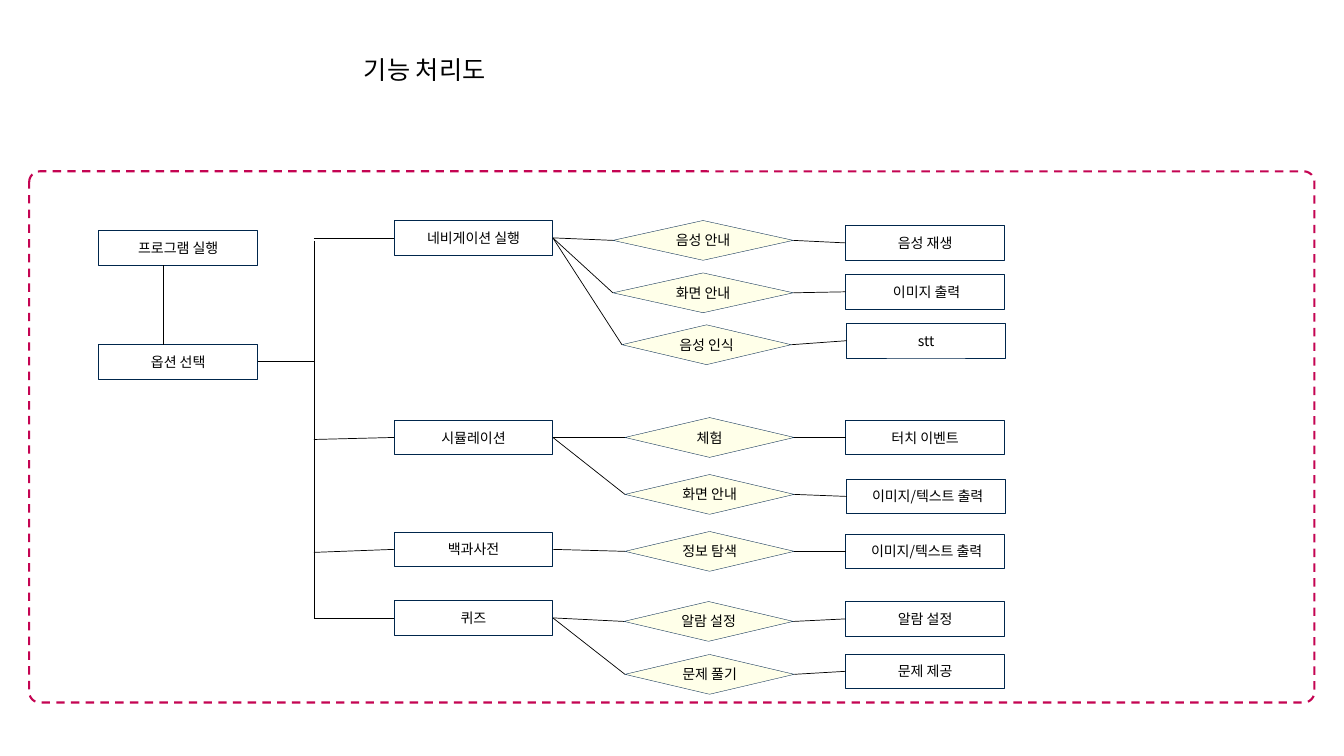
import lxml.etree
import pptx
import pptx.dml.color
import pptx.enum.dml
import pptx.enum.shapes
import pptx.enum.text
import pptx.oxml.ns
import pptx.util

NAVY = pptx.dml.color.RGBColor(0x00, 0x26, 0x4C)
CRIMSON = pptx.dml.color.RGBColor(0xC4, 0x04, 0x52)
CREAM = pptx.dml.color.RGBColor(0xFF, 0xFF, 0xE9)
BLACK = pptx.dml.color.RGBColor(0x00, 0x00, 0x00)
FONT = "Noto Sans CJK KR"
SHAPES = pptx.enum.shapes.MSO_SHAPE
ALIGN = pptx.enum.text.PP_ALIGN
LEFT_SITE, RIGHT_SITE = 1, 3

COLUMNS, ROWS = 133.33, 75
BOX_WIDTH, BOX_HEIGHT = 15.75, 3.45
DECISION_HEIGHT = 3.95
START_LEFT, BRANCH_LEFT = 9.8, 39.1
TRUNK, TRUNK_TOP, TRUNK_BOTTOM = 31.15, 23.9, 61.3
START_LINK = 16.2

BRANCHES = [
    ("네비게이션 실행", 23.6, 23.6, [
        ("음성 안내", 60.8, 17.9, 23.85, "음성 재생", 83.9, 24.1),
        ("화면 안내", 60.8, 17.9, 29.05, " 이미지 출력", 83.9, 28.95),
        ("음성 인식", 61.7, 16.8, 34.2, "stt", 84, 33.8),
    ]),
    ("시뮬레이션", 43.4, 43.6, [
        ("체험", 62, 16.8, 43.4, "터치 이벤트", 83.9, 43.4),
        ("화면 안내", 62, 16.8, 49.05, " 이미지/텍스트 출력", 84, 49.25),
    ]),
    ("백과사전", 54.5, 54.8, [
        ("정보 탐색", 62, 16.8, 54.7, " 이미지/텍스트 출력", 83.9, 54.7),
    ]),
    ("퀴즈", 61.3, 61.3, [
        ("알람 설정", 61.9, 16.8, 61.65, "알람 설정", 83.9, 61.4),
        ("문제 풀기", 62, 16.8, 66.9, "문제 제공", 83.9, 66.6),
    ]),
]


def write_text(frame, text, *, size=10, align=ALIGN.CENTER, color=BLACK, inset=0.04):
    frame.word_wrap = True
    frame.auto_size = pptx.enum.text.MSO_AUTO_SIZE.NONE
    frame.vertical_anchor = pptx.enum.text.MSO_ANCHOR.MIDDLE
    frame.margin_left = frame.margin_right = pptx.util.Inches(inset)
    frame.margin_top = frame.margin_bottom = pptx.util.Inches(0.04)
    paragraph = frame.paragraphs[0]
    paragraph.alignment = align
    run = paragraph.add_run()
    run.text = text
    run.font.size = pptx.util.Pt(size)
    run.font.name = FONT
    run.font.color.rgb = color
    east_asian = lxml.etree.SubElement(run.font._element, pptx.oxml.ns.qn("a:ea"))
    east_asian.set("typeface", FONT)


class FlowSlide:
    def __init__(self, deck):
        self.slide = deck.slides.add_slide(deck.slide_layouts[5])
        self.column = deck.slide_width / COLUMNS
        self.row = deck.slide_height / ROWS

    def x(self, columns):
        return round(columns * self.column)

    def y(self, rows):
        return round(rows * self.row)

    def title(self, text, left, top, width, height):
        heading = self.slide.shapes.title
        heading.left, heading.top = self.x(left), self.y(top)
        heading.width, heading.height = self.x(width), self.y(height)
        write_text(heading.text_frame, text, size=18, align=ALIGN.LEFT, inset=0.1)

    def outline(self, kind, left, top, width, height, color, weight):
        shape = self.slide.shapes.add_shape(
            kind, self.x(left), self.y(top), self.x(width), self.y(height))
        shape.shadow.inherit = False
        shape.fill.background()
        shape.line.color.rgb = color
        shape.line.width = pptx.util.Pt(weight)
        return shape

    def frame(self, left, top, width, height):
        border = self.outline(
            SHAPES.ROUNDED_RECTANGLE, left, top, width, height, CRIMSON, 1.5)
        border.adjustments[0] = 0.02
        border.line.dash_style = pptx.enum.dml.MSO_LINE.DASH

    def box(self, text, left, middle):
        step = self.outline(SHAPES.RECTANGLE, left, middle - BOX_HEIGHT / 2,
                            BOX_WIDTH, BOX_HEIGHT, NAVY, 0.5)
        write_text(step.text_frame, text)
        return step

    def decision(self, text, left, width, middle):
        choice = self.outline(SHAPES.FLOWCHART_DECISION, left, middle - DECISION_HEIGHT / 2,
                              width, DECISION_HEIGHT, NAVY, 0.25)
        choice.fill.solid()
        choice.fill.fore_color.rgb = CREAM
        write_text(choice.text_frame, text)
        return choice

    def line(self, left, top, right, bottom):
        link = self.slide.shapes.add_connector(
            pptx.enum.shapes.MSO_CONNECTOR.STRAIGHT,
            self.x(left), self.y(top), self.x(right), self.y(bottom))
        link.line.color.rgb = BLACK
        link.line.width = pptx.util.Pt(0.5)
        lxml.etree.SubElement(link._element.spPr, pptx.oxml.ns.qn("a:effectLst"))
        return link

    def join(self, source, target):
        link = self.line(0, 0, 1, 1)
        link.begin_connect(source, RIGHT_SITE)
        link.end_connect(target, LEFT_SITE)


def main():
    deck = pptx.Presentation()
    deck.slide_width = pptx.util.Inches(13.33)
    deck.slide_height = pptx.util.Inches(7.5)
    flow = FlowSlide(deck)

    flow.title("기능 처리도", 35.1, 4.9, 62.9, 4)
    flow.frame(2.9, 17, 127.5, 52.7)
    flow.box("프로그램 실행", START_LEFT, 24.6)
    options = flow.box("옵션 선택", START_LEFT, 35.9)
    flow.line(START_LINK, 26.3, START_LINK, 34.2)
    flow.line(TRUNK, TRUNK_TOP, TRUNK, TRUNK_BOTTOM)
    flow.line(START_LEFT + BOX_WIDTH, 35.9, TRUNK, 35.9).begin_connect(options, RIGHT_SITE)

    for feature, middle, fork, choices in BRANCHES:
        branch = flow.box(feature, BRANCH_LEFT, middle)
        flow.line(TRUNK, fork, BRANCH_LEFT, middle).end_connect(branch, LEFT_SITE)
        for question, left, width, level, result, result_left, result_level in choices:
            choice = flow.decision(question, left, width, level)
            outcome = flow.box(result, result_left, result_level)
            flow.join(branch, choice)
            flow.join(choice, outcome)

    deck.save("out.pptx")


if __name__ == "__main__":
    main()
